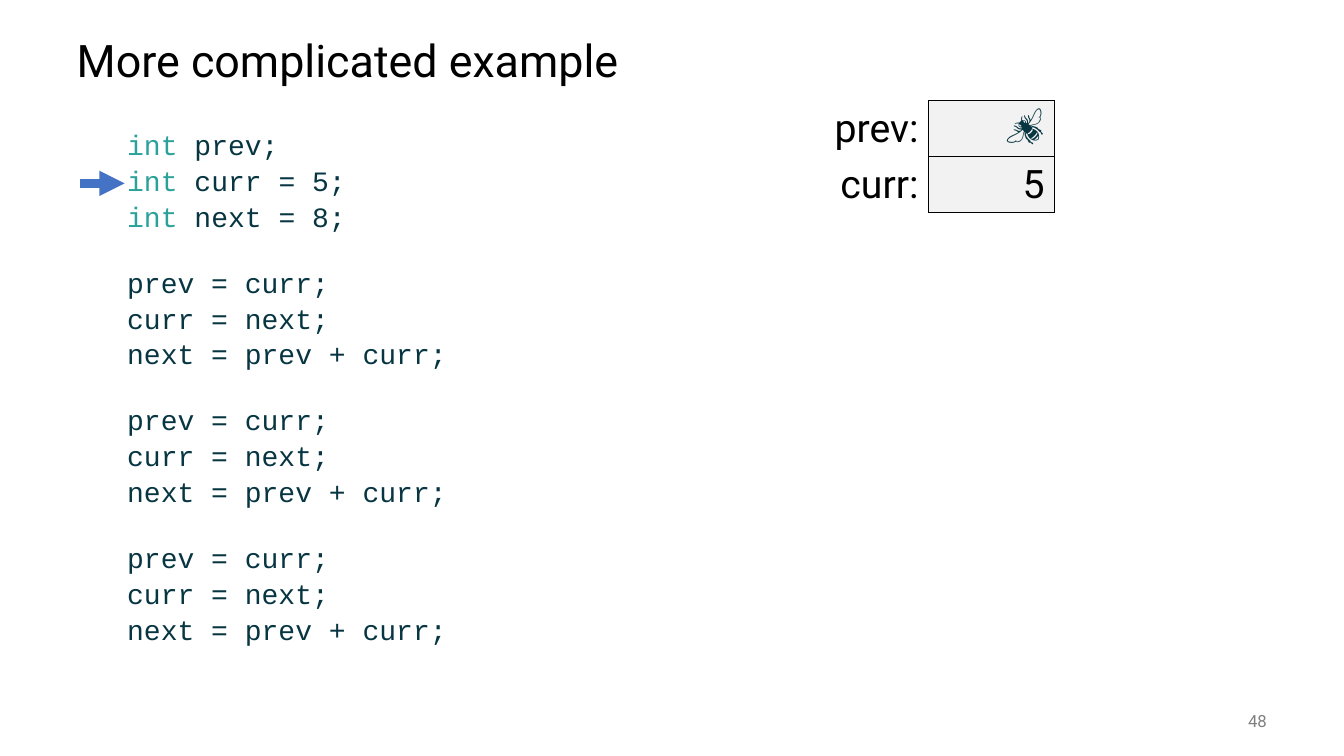
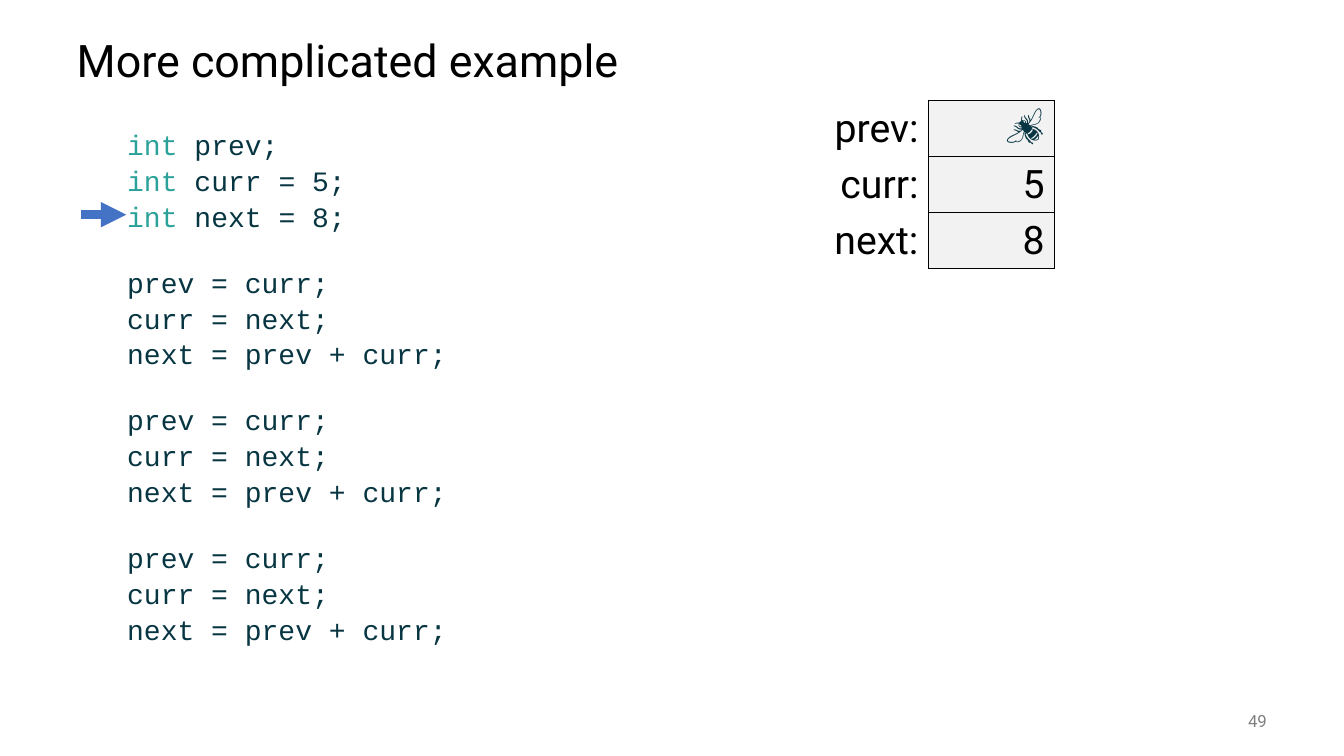
from lxml import etree
from pptx import Presentation
from pptx.dml.color import RGBColor
from pptx.enum import shapes, text
from pptx.oxml import ns
from pptx.util import Cm, Pt

BLACK = RGBColor(0x00, 0x00, 0x00)
GREY = RGBColor(0x80, 0x80, 0x80)
PALE = RGBColor(0xF2, 0xF2, 0xF2)
TEAL = RGBColor(0x2A, 0xA2, 0x99)
INK = RGBColor(0x07, 0x36, 0x42)
BLUE = RGBColor(0x44, 0x72, 0xC4)

SANS, MONO = "Roboto", "Courier New"
LEFT, WIDE = Cm(1.68), Cm(30.48)
RIGHT = text.PP_ALIGN.RIGHT

STEP = ["prev = curr;", "curr = next;", "next = prev + curr;"]
CODE = [["int prev;", "int curr = 5;", "int next = 8;"], STEP, STEP, STEP]
VARS = [("prev:", "🐝"), ("curr:", "5"), ("next:", "8")]


class Deck:
    """Holds the style and the current slide."""

    def __init__(self):
        self.prs = Presentation()
        self.prs.slide_width, self.prs.slide_height = Cm(33.87), Cm(19.05)
        self.slide = None

    def add(self):
        self.slide = self.prs.slides.add_slide(self.prs.slide_layouts[1])

    def place(self, box, left, top, width, height):
        box.left, box.top, box.width, box.height = left, top, width, height
        frame = box.text_frame
        frame.word_wrap = True
        frame.auto_size = text.MSO_AUTO_SIZE.NONE
        return frame

    def run(self, para, words, size, color=BLACK, font=SANS):
        run = para.add_run()
        run.text = words
        run.font.size, run.font.name = Pt(size), font
        run.font.color.rgb = color

    def title(self, words):
        frame = self.place(self.slide.shapes.title, LEFT, Cm(0.64), WIDE, Cm(1.9))
        frame.vertical_anchor = text.MSO_ANCHOR.MIDDLE
        para = frame.paragraphs[0]
        para.alignment, para.line_spacing = text.PP_ALIGN.LEFT, 0.9
        self.run(para, words, 32)

    def code(self, blocks):
        frame = self.place(self.slide.placeholders[1], LEFT, Cm(3.18), WIDE, Cm(13.97))
        frame.vertical_anchor = text.MSO_ANCHOR.TOP
        for b, block in enumerate(blocks):
            for n, line in enumerate(block):
                first = b == n == 0
                para = frame.paragraphs[0] if first else frame.add_paragraph()
                # Indented without a bullet
                props = para._p.get_or_add_pPr()
                props.set("marL", str(Cm(1.27)))
                props.set("indent", "0")
                etree.SubElement(props, ns.qn("a:buNone"))
                para.line_spacing = 0.9
                para.space_before = Pt(0 if first else 4 if n else 25.6)
                # Keyword in its own colour
                if line.startswith("int "):
                    self.run(para, "int ", 20, TEAL, MONO)
                    line = line.removeprefix("int ")
                self.run(para, line, 20, INK, MONO)

    def number(self, page):
        box = self.slide.shapes.add_textbox(0, 0, 0, 0)
        frame = self.place(box, Cm(29.64), Cm(17.65), Cm(2.54), Cm(1.02))
        frame.vertical_anchor = text.MSO_ANCHOR.MIDDLE
        para = frame.paragraphs[0]
        para.alignment = RIGHT
        self.run(para, str(page), 12, GREY)

    def border(self, cell, sides):
        props = cell._tc.get_or_add_tcPr()
        for i, side in enumerate(sides):
            line = etree.Element(ns.qn("a:ln" + side), w=str(Pt(1)))
            fill = etree.SubElement(line, ns.qn("a:solidFill"))
            etree.SubElement(fill, ns.qn("a:srgbClr"), val=str(BLACK))
            props.insert(i, line)

    def table(self, rows):
        col, row = Cm(3.18), Cm(1.41)
        grid = self.slide.shapes.add_table(
            len(rows), 2, Cm(20.22), Cm(2.54), 2 * col, len(rows) * row).table
        grid.first_row = grid.horz_banding = False
        for r, pair in enumerate(rows):
            for c, words in enumerate(pair):
                cell = grid.cell(r, c)
                if c:
                    cell.fill.solid()
                    cell.fill.fore_color.rgb = PALE
                else:
                    cell.fill.background()
                self.border(cell, "LRTB" if c else "R")
                para = cell.text_frame.paragraphs[0]
                para.alignment = RIGHT
                style = (BLACK, SANS) if words.isascii() else (INK, MONO)
                self.run(para, words, 28, *style)

    def arrow(self, left, top):
        line = self.slide.shapes.add_connector(
            shapes.MSO_CONNECTOR.STRAIGHT, left, top, left + Cm(1.13), top)
        line.line.color.rgb = BLUE
        line.line.width = Pt(6)
        props = line._element.spPr
        etree.SubElement(props.find(ns.qn("a:ln")), ns.qn("a:tailEnd"), type="triangle")
        etree.SubElement(props, ns.qn("a:effectLst"))


def main():
    deck = Deck()
    # Page, variables set so far, arrow position
    for page, count, left, top in [(48, 2, 2.01, 4.62), (49, 3, 2.05, 5.41)]:
        deck.add()
        deck.title("More complicated example")
        deck.code(CODE)
        deck.number(page)
        deck.table(VARS[:count])
        deck.arrow(Cm(left), Cm(top))
    deck.prs.save("out.pptx")


if __name__ == "__main__":
    main()
